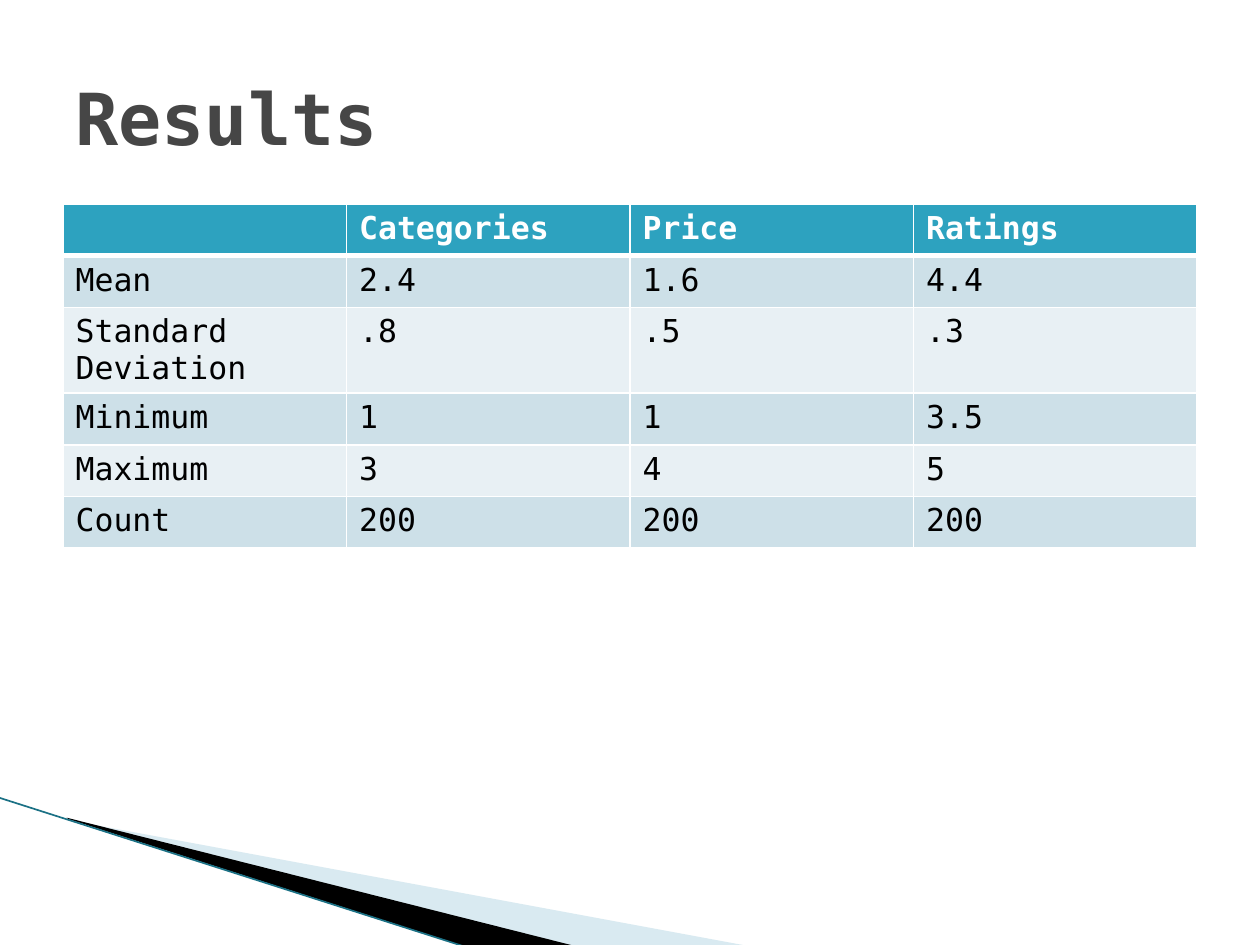
import pptx
import pptx.util
import pptx.dml.color
import pptx.enum.shapes
import pptx.enum.text
import pptx.oxml.ns
from lxml import etree

Inches = pptx.util.Inches
FONT = "DejaVu Sans Mono"
qn = pptx.oxml.ns.qn


def rgb(value):
    return pptx.dml.color.RGBColor.from_string(value)


def write(frame, text, size, color, bold):
    run = frame.paragraphs[0].add_run()
    run.text = text
    run.font.color.rgb = rgb(color)
    style = {"name": FONT, "size": pptx.util.Pt(size), "bold": bold}
    for key, value in style.items():
        setattr(run.font, key, value)


deck = pptx.Presentation()
deck.slide_width, deck.slide_height = Inches(10), Inches(7.5)
slide = deck.slides.add_slide(deck.slide_layouts[6])
shapes = slide.shapes

wedges = [
    ("A0CBDC", 40, [(0.55, 6.51), (5.95, 7.51), (4.56, 7.51), (0.55, 6.5)]),
    ("000000", 100, [(0.53, 6.49), (4.57, 7.51), (3.72, 7.52), (0.54, 6.5)]),
]
for color, opacity, corners in wedges:
    points = [(Inches(x), Inches(y)) for x, y in corners]
    outline = shapes.build_freeform(*points[0])
    outline.add_line_segments(points[1:], close=True)
    wedge = outline.convert_to_shape()
    wedge.shadow.inherit = False
    wedge.line.fill.background()
    wedge.fill.solid()
    wedge.fill.fore_color.rgb = rgb(color)
    if opacity < 100:
        tint = wedge.fill._xPr.find(qn("a:solidFill"))[0]
        etree.SubElement(tint, qn("a:alpha"), val=str(opacity * 1000))

edge = shapes.add_connector(
    pptx.enum.shapes.MSO_CONNECTOR.STRAIGHT,
    Inches(-0.01), Inches(6.33), Inches(3.71), Inches(7.52))
edge.line.color.rgb = rgb("1B7185")
edge.line.width = pptx.util.Pt(0.95)
etree.SubElement(edge._element.spPr, qn("a:effectLst"))

statistics = [
    ("", "Categories", "Price", "Ratings"),
    ("Mean", "2.4", "1.6", "4.4"),
    ("Standard Deviation", ".8", ".5", ".3"),
    ("Minimum", "1", "1", "3.5"),
    ("Maximum", "3", "4", "5"),
    ("Count", "200", "200", "200"),
]
results = shapes.add_table(
    len(statistics), 4, Inches(0.5), Inches(1.62),
    Inches(9), Inches(0.41 * len(statistics))).table
for r, values in enumerate(statistics):
    header = r == 0
    band = "2DA2BF" if header else ("E8F0F4", "CDE0E8")[r % 2]
    widths = {"lnL": 1, "lnR": 1, "lnT": 3 if r == 1 else 1, "lnB": 3 if header else 1}
    for c, value in enumerate(values):
        cell = results.cell(r, c)
        properties = cell._tc.get_or_add_tcPr()
        for side, width in widths.items():
            border = etree.SubElement(properties, qn("a:" + side), w=str(width * 12700))
            paint = etree.SubElement(border, qn("a:solidFill"))
            etree.SubElement(paint, qn("a:srgbClr"), val="FFFFFF")
        cell.fill.solid()
        cell.fill.fore_color.rgb = rgb(band)
        if value:
            write(cell.text_frame, value, 18, "FFFFFF" if header else "000000", header)

title = shapes.add_textbox(Inches(0.5), Inches(0.3), Inches(9), Inches(1.25))
title.text_frame.word_wrap = True
title.text_frame.vertical_anchor = pptx.enum.text.MSO_ANCHOR.MIDDLE
write(title.text_frame, "Results", 41, "464646", True)

deck.save("out.pptx")
